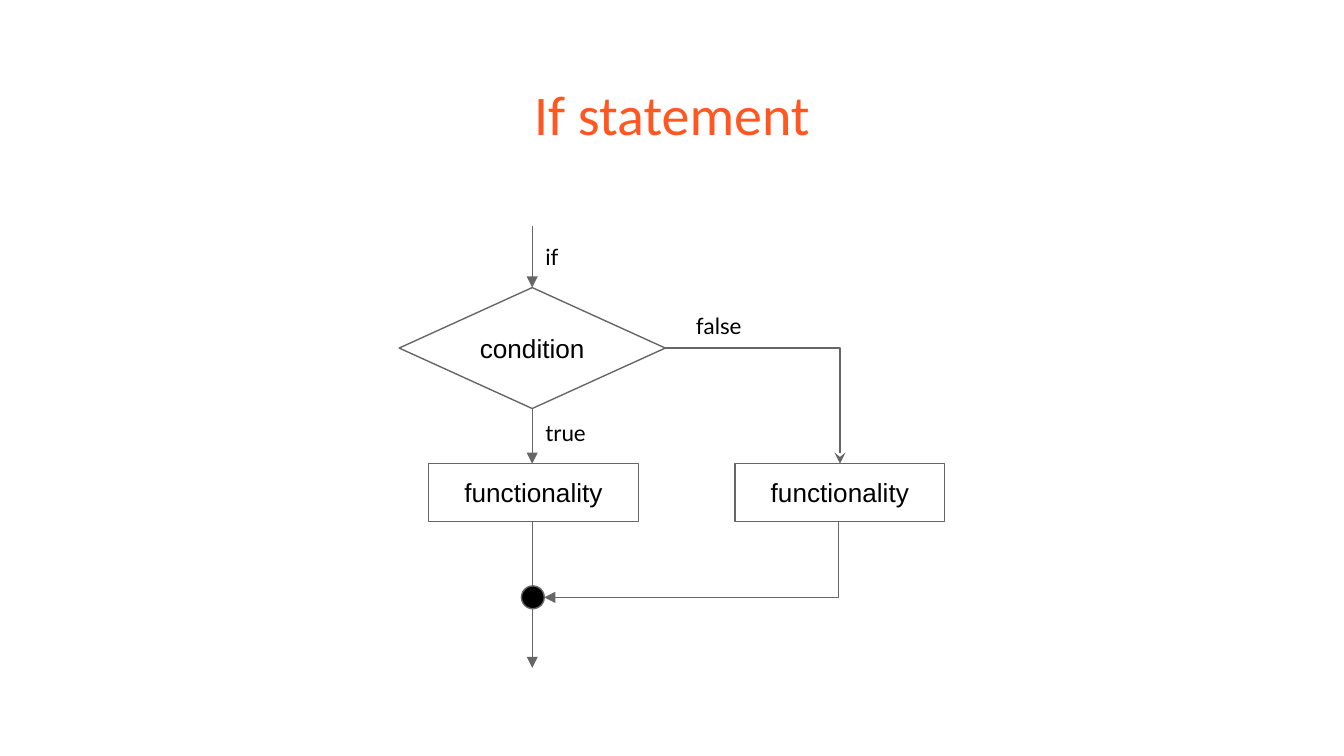
from lxml import etree
from pptx import Presentation
from pptx.dml.color import RGBColor
from pptx.enum.shapes import MSO_CONNECTOR, MSO_SHAPE
from pptx.enum.text import MSO_ANCHOR, PP_ALIGN
from pptx.oxml.ns import qn
from pptx.util import Emu, Pt

STRAIGHT, ELBOW = MSO_CONNECTOR.STRAIGHT, MSO_CONNECTOR.ELBOW
DECISION, RECT, OVAL = MSO_SHAPE.FLOWCHART_DECISION, MSO_SHAPE.RECTANGLE, MSO_SHAPE.OVAL
TOP, MIDDLE = MSO_ANCHOR.TOP, MSO_ANCHOR.MIDDLE
LEFT, CENTER = PP_ALIGN.LEFT, PP_ALIGN.CENTER

PX = 9144  # 100 px to the inch
COLORS = {"title": "FF5722", "line": "666666", "text": "000000", "dot": "000000"}

TITLE = ("If statement", (34, 49, 932, 63))
CONDITION = (297, 214, 198, 90)
TRUE_BOX = (319, 345, 156, 43)
FALSE_BOX = (547, 345, 156, 43)
JOIN = (388, 436, 17, 17)
NODES = [("condition", DECISION, CONDITION),
         ("functionality", RECT, FALSE_BOX),
         ("functionality", RECT, TRUE_BOX)]
LABELS = [("if", 396, 171), ("true", 396, 302), ("false", 508, 222)]
LABEL_SIZE = (104, 40)
ENTRY_Y, EXIT_Y = 168, 497


def px(*values):
    return [Emu(round(v * PX)) for v in values]


def rgb(name):
    return RGBColor.from_string(COLORS[name])


def write(sp, text, size, font, color="text", align=CENTER, anchor=MIDDLE):
    tf = sp.text_frame
    tf.word_wrap = True
    tf.vertical_anchor = anchor
    tf.margin_left = tf.margin_right = tf.margin_top = tf.margin_bottom = Emu(10 * PX)
    p = tf.paragraphs[0]
    p.alignment = align
    r = p.add_run()
    r.text = text
    r.font.size, r.font.name = Pt(size), font
    r.font.color.rgb = rgb(color)


def outline(sp):
    sp.line.color.rgb = rgb("line")
    sp.line.width = Pt(0.75)


def add_node(shapes, kind, box, fill=None):
    sp = shapes.add_shape(kind, *px(*box))
    sp.shadow.inherit = False
    if fill:
        sp.fill.solid()
        sp.fill.fore_color.rgb = rgb(fill)
    else:
        sp.fill.background()
    outline(sp)
    return sp


def add_arrow(shapes, start, end, kind=STRAIGHT, head="triangle"):
    sp = shapes.add_connector(kind, *px(*start, *end))
    outline(sp)
    etree.SubElement(sp.line._get_or_add_ln(), qn("a:tailEnd"), type=head)
    etree.SubElement(sp._element.spPr, qn("a:effectLst"))
    return sp


def set_bend(sp, preset, adjust=None):
    geom = sp._element.spPr.find(qn("a:prstGeom"))
    geom.set("prst", preset)
    if adjust is not None:
        guides = geom.find(qn("a:avLst"))
        if guides is None:
            guides = etree.SubElement(geom, qn("a:avLst"))
        etree.SubElement(guides, qn("a:gd"), name="adj1", fmla=f"val {adjust}")


def main():
    prs = Presentation()
    prs.slide_width, prs.slide_height = px(1000, 562.5)
    slide = prs.slides.add_slide(prs.slide_layouts[5])
    shapes = slide.shapes

    text, box = TITLE
    title = shapes.title
    title.left, title.top, title.width, title.height = px(*box)
    write(title, text, 30, "Calibri", color="title", anchor=TOP)

    nodes = []
    for text, kind, box in NODES:
        sp = add_node(shapes, kind, box)
        write(sp, text, 14, "Arial")
        nodes.append(sp)
    condition, false_box, _ = nodes

    x, y, w, h = CONDITION
    axis, right, middle, bottom = x + w / 2, x + w, y + h / 2, y + h
    box_top = TRUE_BOX[1]
    box_bottom = box_top + TRUE_BOX[3]
    false_axis = FALSE_BOX[0] + FALSE_BOX[2] / 2
    join_right, join_y = JOIN[0] + JOIN[2], JOIN[1] + JOIN[3] / 2

    for top, end in [(ENTRY_Y, y), (bottom, box_top), (box_bottom, EXIT_Y)]:
        add_arrow(shapes, (axis, top), (axis, end))

    branch = add_arrow(shapes, (right, middle), (false_axis, box_top), ELBOW, "stealth")
    set_bend(branch, "bentConnector2")
    branch.begin_connect(condition, 3)
    branch.end_connect(false_box, 0)

    merge = add_arrow(shapes, (false_axis, box_bottom), (join_right, join_y), ELBOW)
    set_bend(merge, "bentConnector3", 400)

    add_node(shapes, OVAL, JOIN, "dot")

    for text, left, top in LABELS:
        sp = shapes.add_textbox(*px(left, top, *LABEL_SIZE))
        write(sp, text, 12, "Lato", align=LEFT, anchor=TOP)

    prs.save("out.pptx")


if __name__ == "__main__":
    main()
